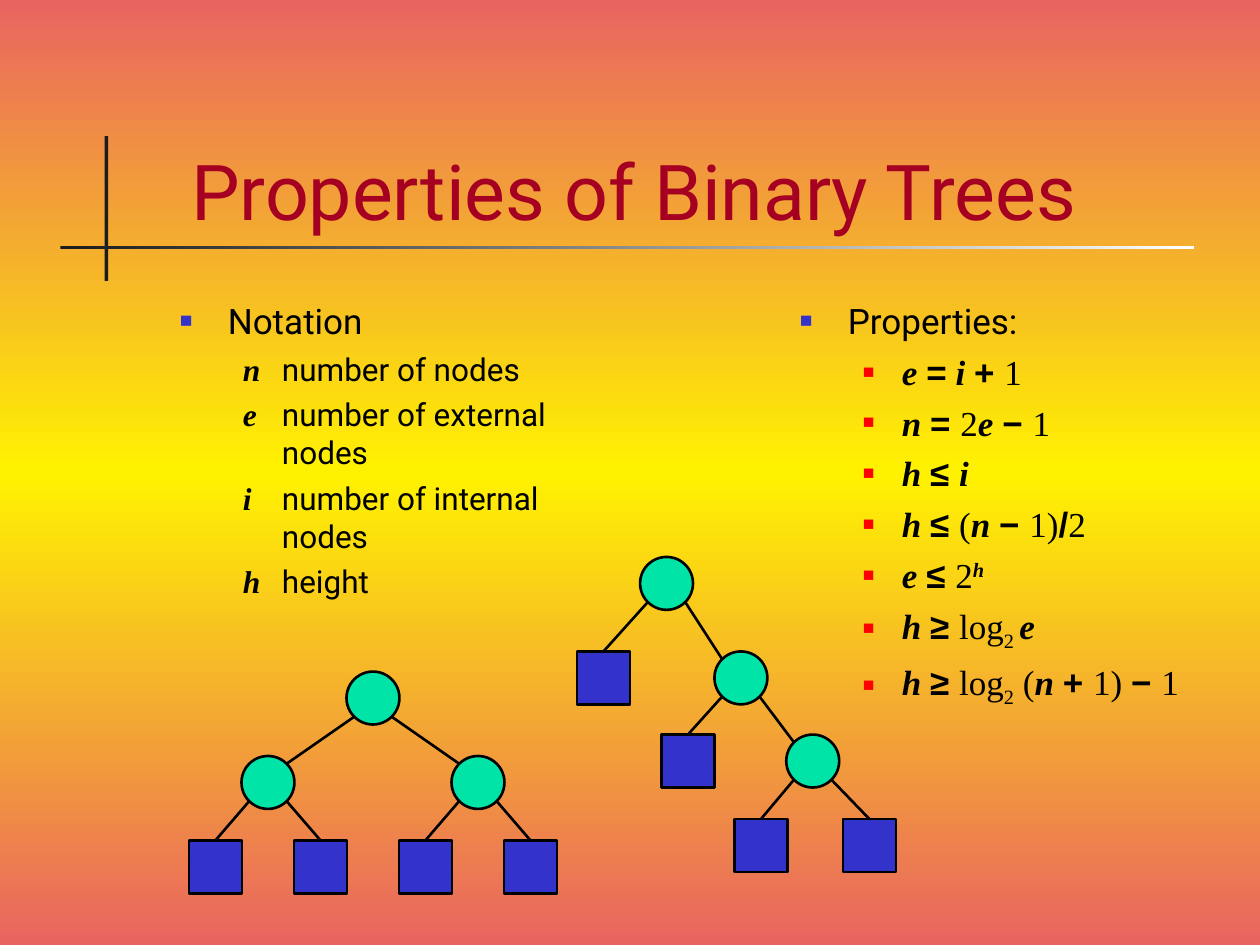
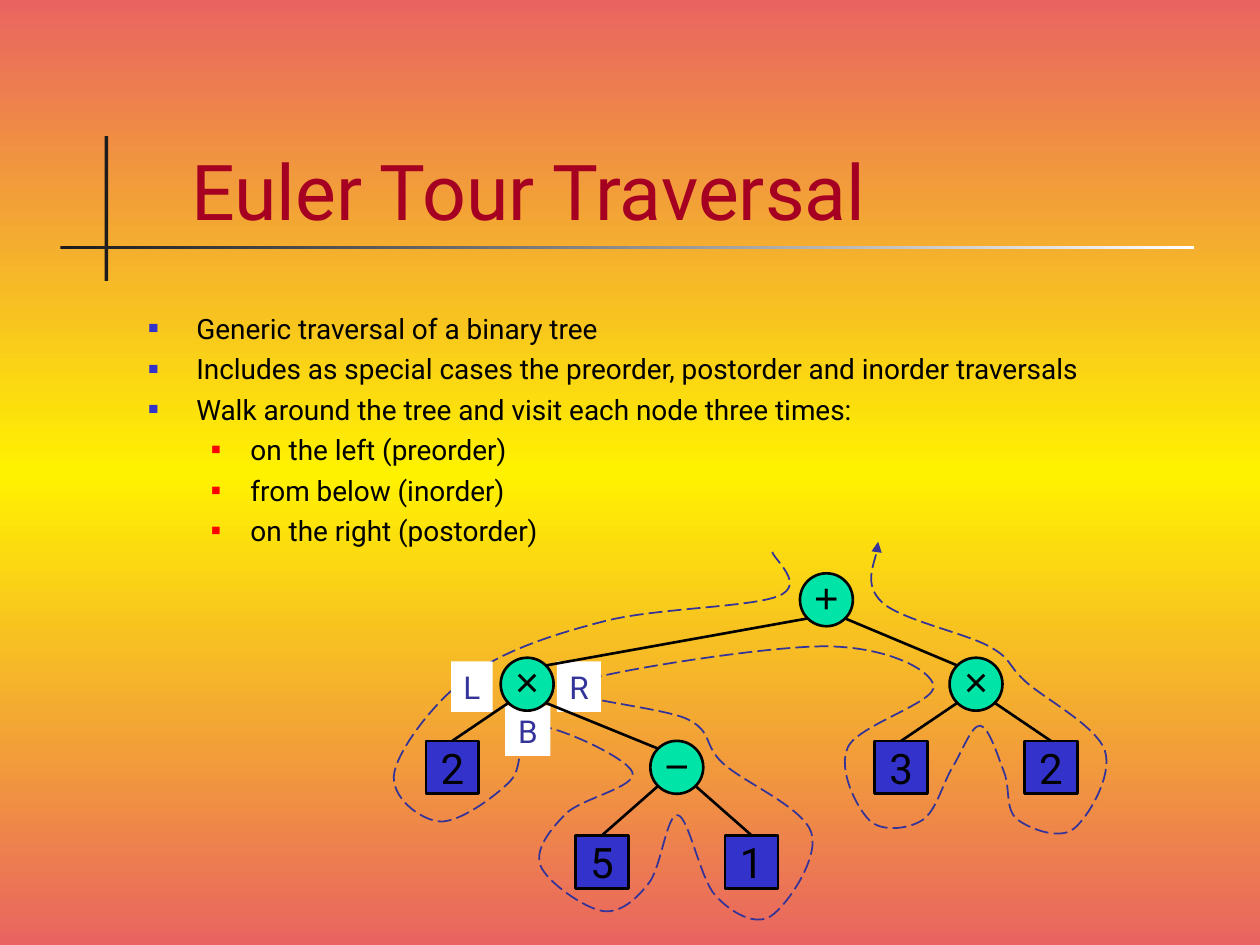
from dataclasses import dataclass
from typing import Iterator, NamedTuple, Optional

from lxml import etree
from pptx import Presentation
from pptx.dml.color import RGBColor
from pptx.enum.dml import MSO_LINE
from pptx.enum.shapes import MSO_CONNECTOR, MSO_SHAPE
from pptx.enum.text import MSO_ANCHOR, PP_ALIGN
from pptx.oxml.ns import qn
from pptx.util import Inches, Pt

RECT, OVAL = MSO_SHAPE.RECTANGLE, MSO_SHAPE.OVAL
STRAIGHT, DASH = MSO_CONNECTOR.STRAIGHT, MSO_LINE.LONG_DASH
BOTTOM, MIDDLE = MSO_ANCHOR.BOTTOM, MSO_ANCHOR.MIDDLE
CENTER = PP_ALIGN.CENTER


@dataclass(frozen=True)
class Theme:
    rose: str = "E96461"
    yellow: str = "FFF200"
    dark: str = "1C1C1C"
    white: str = "FFFFFF"
    black: str = "000000"
    title: str = "A50021"
    blue: str = "3333CC"
    red: str = "FF0000"
    green: str = "00E4A8"
    tour: str = "333399"
    sans: str = "Roboto"
    serif: str = "Times New Roman"
    sign: str = "Arial"
    title_size: int = 44
    node_size: int = 24
    head_size: int = 20
    note_size: int = 18
    body_size: int = 16


THEME = Theme()


class Face(NamedTuple):
    font: str
    bold: bool = False
    italic: bool = False
    shift: int = 0


class Run(NamedTuple):
    text: str
    face: Face


class Level(NamedTuple):
    margin: float
    hang: float
    color: str = ""
    scale: int = 0


@dataclass(frozen=True)
class Para:
    runs: list[Run]
    size: int
    level: Level


@dataclass(frozen=True)
class Node:
    label: str = ""
    left: Optional["Node"] = None
    right: Optional["Node"] = None


class Spot(NamedTuple):
    x: float
    y: float
    leaf: bool


class Tag(NamedTuple):
    text: str
    x: float
    y: float
    width: float


PLAIN = Face(THEME.sans)
VAR = Face(THEME.serif, True, True)
POWER = Face(THEME.serif, True, True, 30)
SIGN = Face(THEME.sign, True)
NUM = Face(THEME.serif)
SUB = Face(THEME.serif, shift=-25)

TOP = Level(0.38, -0.38, THEME.blue, 60)
INNER = Level(0.81, -0.31, THEME.red, 55)
TERM = Level(0.81, -0.31)

SIDE = 0.42
HALF = SIDE / 2
DIAG = HALF * 0.5 ** 0.5

TERMS = [("n", "number of nodes"), ("e", "number of external nodes"),
         ("i", "number of internal nodes"), ("h", "height")]
RULES = [
    [("e ", VAR), ("=", SIGN), (" i ", VAR), ("+ ", SIGN), ("1", NUM)],
    [("n ", VAR), ("= ", SIGN), ("2", NUM), ("e ", VAR), ("− ", SIGN), ("1", NUM)],
    [("h ", VAR), ("≤ ", SIGN), ("i", VAR)],
    [("h ", VAR), ("≤ ", SIGN), ("(", NUM), ("n ", VAR), ("− ", SIGN),
     ("1)", NUM), ("/", SIGN), ("2", NUM)],
    [("e ", VAR), ("≤ ", SIGN), ("2", NUM), ("h", POWER)],
    [("h ", VAR), ("≥ ", SIGN), ("log", NUM), ("2 ", SUB), ("e", VAR)],
    [("h ", VAR), ("≥ ", SIGN), ("log", NUM), ("2", SUB), (" (", NUM),
     ("n ", VAR), ("+ ", SIGN), ("1) ", NUM), ("− ", SIGN), ("1", NUM)],
]
FACTS = ["Generic traversal of a binary tree",
         "Includes as special cases the preorder, postorder and inorder traversals",
         "Walk around the tree and visit each node three times:"]
VISITS = ["on the left (preorder)", "from below (inorder)", "on the right (postorder)"]

LEAF = Node()
FORK = Node("", LEAF, LEAF)
FULL = Node("", FORK, FORK)
SKEW = Node("", LEAF, Node("", LEAF, FORK))
SUM = Node("+",
           Node("×", Node("2"), Node("−", Node("5"), Node("1"))),
           Node("×", Node("3"), Node("2")))

TAGS = [Tag("L", 3.58, 5.25, 0.33), Tag("B", 4.01, 5.6, 0.36), Tag("R", 4.42, 5.25, 0.35)]
TOUR = [
    (6.13, 4.38), (6.18, 4.73), (4.8, 4.93), (3.73, 5.36), (3.13, 6.13), (3.49, 6.52),
    (4.05, 6.2), (4.24, 5.76), (5.02, 6.13), (4.49, 6.46), (4.29, 6.87), (4.78, 7.23),
    (5.15, 7.01), (5.38, 6.47), (5.68, 7.11), (6.12, 7.27), (6.44, 6.61), (5.74, 6.06),
    (5.46, 5.71), (4.52, 5.44), (6.54, 5.13), (7.41, 5.44), (6.73, 5.93), (6.9, 6.51),
    (7.32, 6.51), (7.56, 6.09), (7.78, 5.76), (7.97, 6.13), (8.07, 6.5), (8.52, 6.58),
    (8.77, 5.96), (8.14, 5.41), (7.85, 5.13), (7, 4.78), (6.97, 4.3),
]


def rgb(code: str) -> RGBColor:
    return RGBColor.from_string(code)


def add(parent, tag: str, **attrs):
    return etree.SubElement(parent, qn(tag), {k: str(v) for k, v in attrs.items()})


def blend(owner, fill, colors: list[str], angle: int) -> None:
    """Fill with evenly spaced colours at a clockwise angle in degrees."""
    fill.gradient()
    grad = next(owner.element.iter(qn("a:gradFill")))
    stops = grad.find(qn("a:gsLst"))
    stops.clear()
    for i, color in enumerate(colors):
        stop = add(stops, "a:gs", pos=100000 * i // (len(colors) - 1))
        add(stop, "a:srgbClr", val=color)
    grad.find(qn("a:lin")).set("ang", str(angle * 60000))


def write(para, text: str, face: Face, size: int, color: str) -> None:
    run = para.add_run()
    run.text = text
    font = run.font
    font.name, font.size = face.font, Pt(size)
    font.bold, font.italic = face.bold, face.italic
    font.color.rgb = rgb(color)
    if face.shift:
        run._r.get_or_add_rPr().set("baseline", str(face.shift * 1000))


def text_box(slide, x: float, y: float, w: float, h: float):
    box = slide.shapes.add_textbox(Inches(x), Inches(y), Inches(w), Inches(h))
    box.text_frame.word_wrap = True
    return box


def indent(para, level: Level) -> None:
    props = para._p.get_or_add_pPr()
    props.set("marL", str(Inches(level.margin)))
    props.set("indent", str(Inches(level.hang)))
    if level.color:
        add(add(props, "a:buClr"), "a:srgbClr", val=level.color)
        add(props, "a:buSzPct", val=level.scale * 1000)
        add(props, "a:buFont", typeface=THEME.sign)
        add(props, "a:buChar", char="■")
    else:
        add(props, "a:buNone")
        add(add(props, "a:tabLst"), "a:tab", pos=0, algn="l")


def body(slide, x: float, y: float, w: float, h: float, paras: list[Para]) -> None:
    frame = text_box(slide, x, y, w, h).text_frame
    for i, item in enumerate(paras):
        para = frame.add_paragraph() if i else frame.paragraphs[0]
        indent(para, item.level)
        if i:
            para.space_before = Pt(item.size / 4)
        for run in item.runs:
            write(para, run.text, run.face, item.size, THEME.black)


def plain(text: str, size: int, level: Level) -> Para:
    return Para([Run(text, PLAIN)], size, level)


def block(slide, kind, x: float, y: float, w: float, h: float):
    shape = slide.shapes.add_shape(kind, Inches(x), Inches(y), Inches(w), Inches(h))
    shape.shadow.inherit = False
    shape.line.fill.background()
    return shape


def new_slide(deck, title: str):
    slide = deck.slides.add_slide(deck.slide_layouts[6])
    blend(slide, slide.background.fill, [THEME.rose, THEME.yellow, THEME.rose], 90)
    post = block(slide, RECT, 0.83, 1.08, 0.03, 1.15)
    post.fill.solid()
    post.fill.fore_color.rgb = rgb(THEME.dark)
    rail = block(slide, RECT, 0.48, 1.95, 9, 0.03)
    blend(rail, rail.fill, [THEME.dark, THEME.white], 0)
    frame = text_box(slide, 1.42, 0.67, 8.36, 1.25).text_frame
    frame.vertical_anchor = BOTTOM
    write(frame.paragraphs[0], title, PLAIN, THEME.title_size, THEME.title)
    return slide


def stroke(line, color: str, width: float) -> None:
    line.color.rgb = rgb(color)
    line.width = Pt(width)


def edge(slide, top: Spot, kid: Spot) -> None:
    """Join a circle to its child, on the sides that face each other."""
    way = 1 if kid.x > top.x else -1
    end = (kid.x, kid.y - HALF) if kid.leaf else (kid.x - way * DIAG, kid.y - DIAG)
    points = (top.x + way * DIAG, top.y + DIAG, *end)
    line = slide.shapes.add_connector(STRAIGHT, *map(Inches, points))
    stroke(line.line, THEME.black, 1.5)
    add(line.element.spPr, "a:effectLst")


def draw_node(slide, label: str, spot: Spot) -> None:
    shape = block(slide, RECT if spot.leaf else OVAL,
                  spot.x - HALF, spot.y - HALF, SIDE, SIDE)
    shape.fill.solid()
    shape.fill.fore_color.rgb = rgb(THEME.blue if spot.leaf else THEME.green)
    stroke(shape.line, THEME.black, 1.5)
    if not label:
        return
    frame = shape.text_frame
    frame.word_wrap = False
    frame.vertical_anchor = MIDDLE
    if not spot.leaf:
        frame.margin_left = frame.margin_right = frame.margin_top = 0
        frame.margin_bottom = Inches(0.05)
    para = frame.paragraphs[0]
    para.alignment = CENTER
    face = PLAIN if spot.leaf else Face(THEME.sign)
    write(para, label, face, THEME.node_size, THEME.black)


def tree(slide, node: Node, lefts: Iterator[float], tops: list[float], depth: int = 0) -> Spot:
    """Draw a tree; left edges are taken inorder, top edges by depth."""
    kids = []
    if node.left:
        kids.append(tree(slide, node.left, lefts, tops, depth + 1))
    spot = Spot(next(lefts) + HALF, tops[depth] + HALF, node.left is None)
    if node.right:
        kids.append(tree(slide, node.right, lefts, tops, depth + 1))
    for kid in kids:
        edge(slide, spot, kid)
    draw_node(slide, node.label, spot)
    return spot


def bend(path) -> None:
    """Turn the straight segments into a smooth curve through the same points."""
    dots = [(int(p.get("x")), int(p.get("y"))) for p in path.iter(qn("a:pt"))]
    dots = [dots[0], *dots, dots[-1]]
    for i, part in enumerate(path.findall(qn("a:lnTo"))):
        prior, start, end, after = dots[i:i + 4]
        out = [s + (e - p) / 6 for p, s, e in zip(prior, start, end)]
        into = [e - (a - s) / 6 for s, e, a in zip(start, end, after)]
        curve = add(path, "a:cubicBezTo")
        for x, y in (out, into, end):
            add(curve, "a:pt", x=round(x), y=round(y))
        path.replace(part, curve)


def draw_tour(slide) -> None:
    dots = [(Inches(x), Inches(y)) for x, y in TOUR]
    pen = slide.shapes.build_freeform(*dots[0])
    pen.add_line_segments(dots[1:], close=False)
    shape = pen.convert_to_shape()
    shape.shadow.inherit = False
    shape.fill.background()
    stroke(shape.line, THEME.tour, 1)
    shape.line.dash_style = DASH
    add(shape.element.spPr.find(qn("a:ln")), "a:tailEnd", type="triangle")
    bend(next(shape.element.iter(qn("a:path"))))


def draw_tag(slide, tag: Tag) -> None:
    box = text_box(slide, tag.x, tag.y, tag.width, 0.4)
    box.fill.solid()
    box.fill.fore_color.rgb = rgb(THEME.white)
    box.text_frame.word_wrap = False
    para = box.text_frame.paragraphs[0]
    para.alignment = CENTER
    write(para, tag.text, PLAIN, THEME.note_size, THEME.tour)


def properties(deck) -> None:
    slide = new_slide(deck, "Properties of Binary Trees")
    terms = [Para([Run(f"{name}\t", VAR), Run(text, PLAIN)], THEME.note_size, TERM)
             for name, text in TERMS]
    body(slide, 1.33, 2.33, 3.33, 2.83, [plain("Notation", THEME.head_size, TOP), *terms])
    rules = [Para([Run(*part) for part in rule], THEME.head_size, INNER) for rule in RULES]
    body(slide, 6.25, 2.33, 3.75, 4, [plain("Properties:", THEME.head_size, TOP), *rules])
    tree(slide, FULL, (1.5 + i * 2.5 / 6 for i in range(7)), [5.33, 6, 6.67])
    tree(slide, SKEW, iter([4.58, 5.08, 5.25, 5.67, 5.83, 6.24, 6.69]),
         [4.42, 5.17, 5.83, 6.5])


def euler(deck) -> None:
    slide = new_slide(deck, "Euler Tour Traversal")
    size = THEME.body_size
    body(slide, 1.08, 2.42, 8.67, 2.33,
         [plain(text, size, TOP) for text in FACTS]
         + [plain(text, size, INNER) for text in VISITS])
    draw_tour(slide)
    for tag in TAGS:
        draw_tag(slide, tag)
    tree(slide, SUM, (3.38 + i * 4.75 / 8 for i in range(9)), [4.55, 5.22, 5.88, 6.63])


def main() -> None:
    deck = Presentation()
    deck.slide_width, deck.slide_height = Inches(10), Inches(7.5)
    properties(deck)
    euler(deck)
    deck.save("out.pptx")


if __name__ == "__main__":
    main()
